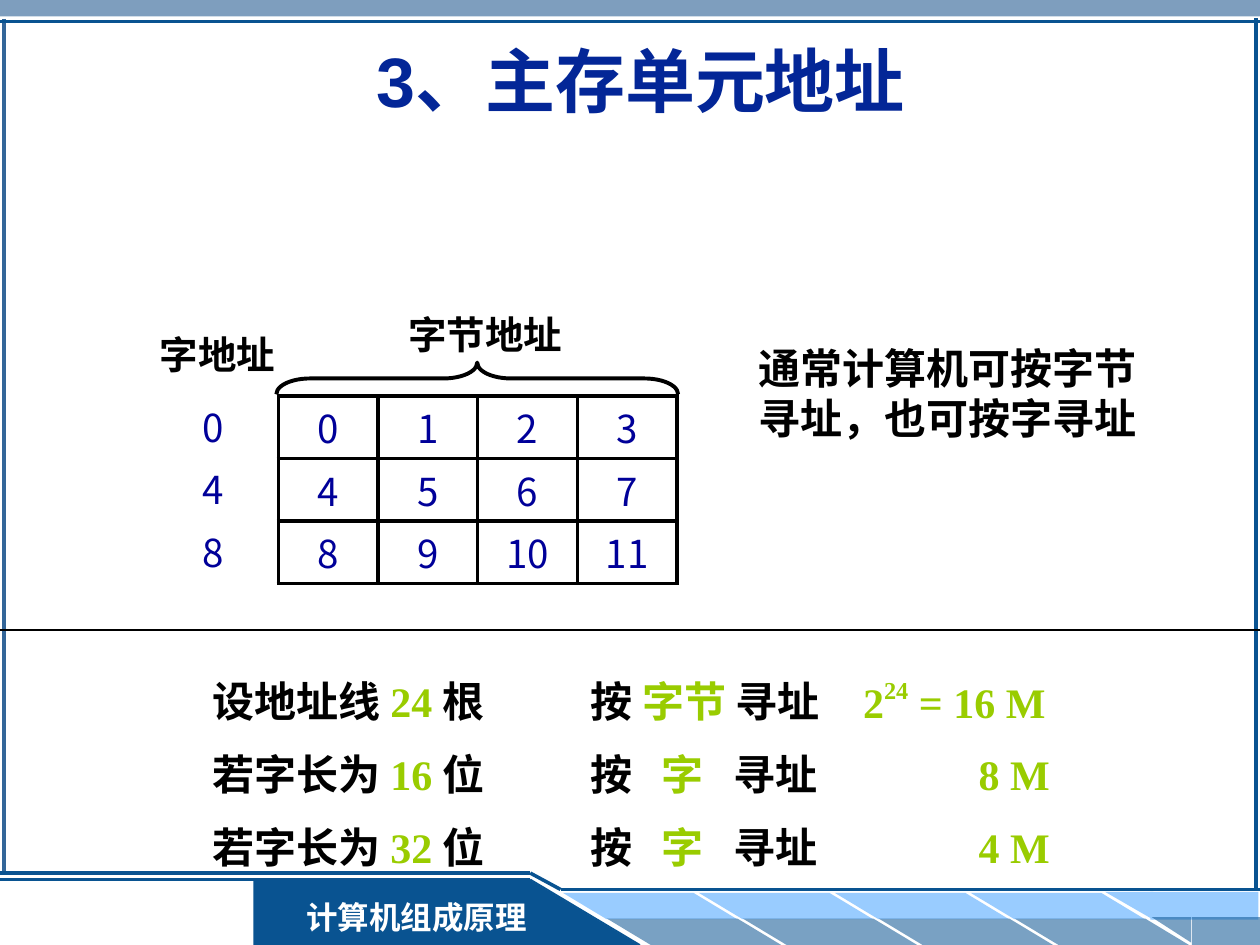
from lxml.etree import SubElement
from pptx import Presentation
from pptx.dml.color import RGBColor
from pptx.enum.shapes import MSO_CONNECTOR, MSO_SHAPE
from pptx.enum.text import MSO_ANCHOR, PP_ALIGN
from pptx.oxml.ns import qn
from pptx.util import Cm, Pt

BLACK = RGBColor(0x00, 0x00, 0x00)
WHITE = RGBColor(0xFF, 0xFF, 0xFF)
TITLE_BLUE = RGBColor(0x03, 0x26, 0x97)
DIGIT_BLUE = RGBColor(0x00, 0x00, 0x99)
FRAME_BLUE = RGBColor(0x09, 0x53, 0x91)
BAR_BLUE = RGBColor(0x33, 0x66, 0x99)
SKY = RGBColor(0x99, 0xCC, 0xFF)
GREEN = RGBColor(0x99, 0xCC, 0x00)

CJK_FONT = "Noto Sans CJK SC"
GRID_LEFT, GRID_TOP, CELL_WIDTH, CELL_HEIGHT = 5.61, 7.98, 2.01, 1.26
GRID_ROWS, GRID_COLUMNS = 3, 4
DIGIT_STYLE = dict(size=22, color=DIGIT_BLUE, font=CJK_FONT, bold=False,
                   align=PP_ALIGN.CENTER)


def write_text(frame, *lines, size=24, color=BLACK, font="Times New Roman",
               bold=True, align=PP_ALIGN.LEFT, tabs=()):
    """Write each line, a string or a list of (text, color, baseline) spans."""
    for index, line in enumerate(lines):
        para = frame.paragraphs[0] if index == 0 else frame.add_paragraph()
        para.alignment = align
        if tabs:
            stops = SubElement(para._p.get_or_add_pPr(), qn("a:tabLst"))
            for stop in tabs:
                SubElement(stops, qn("a:tab"), pos=str(Cm(stop)), algn="l")
        spans = [(line, color, 0)] if isinstance(line, str) else line
        for text, span_color, baseline in spans:
            span = para.add_run()
            span.text = text
            span.font.size = Pt(size)
            span.font.bold = bold
            span.font.name = font
            span.font.color.rgb = span_color
            properties = span._r.get_or_add_rPr()
            properties.set("lang", "zh-CN")
            if baseline:
                properties.set("baseline", str(baseline * 1000))
            SubElement(properties, qn("a:ea"), typeface=CJK_FONT)


def add_text(slide, left, top, width, height, *lines,
             anchor=MSO_ANCHOR.TOP, fill=None, **style):
    box = slide.shapes.add_textbox(Cm(left), Cm(top), Cm(width), Cm(height))
    box.text_frame.word_wrap = True
    box.text_frame.vertical_anchor = anchor
    if fill is not None:
        box.fill.solid()
        box.fill.fore_color.rgb = fill
    write_text(box.text_frame, *lines, **style)


def add_block(slide, kind, left, top, width, height, color, opacity=100):
    block = slide.shapes.add_shape(kind, Cm(left), Cm(top), Cm(width), Cm(height))
    block.shadow.inherit = False
    block.line.fill.background()
    block.fill.solid()
    block.fill.fore_color.rgb = color
    if opacity < 100:
        tint = block.element.spPr.find(".//" + qn("a:srgbClr"))
        SubElement(tint, qn("a:alpha"), val=str(opacity * 1000))
    return block


def add_line(slide, start, end, color=FRAME_BLUE, width=2):
    line = slide.shapes.add_connector(
        MSO_CONNECTOR.STRAIGHT, *(Cm(value) for value in start + end))
    line.line.color.rgb = color
    line.line.width = Pt(width)
    SubElement(line.element.spPr, qn("a:effectLst"))


def add_stripe(slide, left, top, color, opacity=100):
    """Add a parallelogram that leans to the left."""
    stripe = add_block(slide, MSO_SHAPE.PARALLELOGRAM, left, top, 3.51, 0.53,
                       color, opacity)
    stripe.adjustments[0] = 1.66
    stripe.element.spPr.xfrm.set("flipH", "1")


def add_page_frame(slide):
    add_block(slide, MSO_SHAPE.RECTANGLE, 0, 0, 25.4, 0.33, BAR_BLUE, 63)
    add_line(slide, (0.08, 0.38), (0.08, 17.6), BAR_BLUE)
    add_line(slide, (0, 0.43), (25.4, 0.43))
    add_line(slide, (25.32, 0.36), (25.32, 17.96))


def add_footer(slide):
    add_block(slide, MSO_SHAPE.RECTANGLE, 5.11, 17.73, 5.59, 1.32, FRAME_BLUE)
    add_block(slide, MSO_SHAPE.RIGHT_TRIANGLE, 10.67, 17.73, 2.21, 1.32, FRAME_BLUE)
    add_line(slide, (12.9, 19.05), (10.69, 17.73), width=1)
    add_line(slide, (10.69, 17.73), (0, 17.73), width=1.5)
    for index in range(4):
        add_stripe(slide, 11.35 + 2.74 * index, 18, SKY)
        add_stripe(slide, 12.24 + 2.74 * index, 18.52, FRAME_BLUE, 54)
    for left, top, width, color, opacity in ((23.19, 17.98, 2.18, SKY, 100),
                                             (24.03, 18.49, 1.37, FRAME_BLUE, 54)):
        add_block(slide, MSO_SHAPE.RECTANGLE, left, top, width, 0.56, color, opacity)
    for left, top, width, height, color, opacity in (
            (22.28, 17.98, 0.97, 0.56, SKY, 100),
            (23.22, 18.49, 0.79, 0.51, FRAME_BLUE, 54)):
        corner = add_block(slide, MSO_SHAPE.RIGHT_TRIANGLE, left, top, width, height,
                           color, opacity)
        corner.rotation = 180
    edge = [(0, 17.6), (10.69, 17.6), (11.3, 17.93), (25.4, 17.93)]
    for start, end in zip(edge, edge[1:]):
        add_line(slide, start, end)
    add_text(slide, 5.79, 17.98, 5.21, 1.02, "计算机组成原理", size=18,
             color=WHITE, align=PP_ALIGN.CENTER, fill=FRAME_BLUE)


def set_borders(cell):
    properties = cell._tc.get_or_add_tcPr()
    for side in ("lnL", "lnR", "lnT", "lnB"):
        border = SubElement(properties, qn("a:" + side), w=str(Pt(2.25)))
        fill = SubElement(border, qn("a:solidFill"))
        SubElement(fill, qn("a:srgbClr"), val=str(BLACK))


def add_byte_table(slide):
    table = slide.shapes.add_table(
        GRID_ROWS, GRID_COLUMNS, Cm(GRID_LEFT), Cm(GRID_TOP),
        Cm(CELL_WIDTH * GRID_COLUMNS), Cm(CELL_HEIGHT * GRID_ROWS)).table
    table.first_row = table.horz_banding = False
    for row in table.rows:
        row.height = Cm(CELL_HEIGHT)
    for address, cell in enumerate(table.iter_cells()):
        cell.margin_left = cell.margin_right = 0
        cell.margin_top = cell.margin_bottom = 0
        cell.vertical_anchor = MSO_ANCHOR.MIDDLE
        set_borders(cell)
        cell.fill.background()
        write_text(cell.text_frame, str(address), **DIGIT_STYLE)


def add_memory_map(slide):
    add_text(slide, 2.97, 6.55, 3.48, 1.19, "字地址", size=22)
    add_text(slide, 7.98, 6.15, 3.65, 1.19, "字节地址", size=22)
    brace = slide.shapes.add_shape(MSO_SHAPE.LEFT_BRACE, Cm(9.3), Cm(3.58),
                                   Cm(0.64), Cm(8.1))
    brace.rotation = 90
    brace.adjustments[0] = 1.06
    brace.shadow.inherit = False
    brace.fill.background()
    brace.line.color.rgb = BLACK
    brace.line.width = Pt(2.25)
    add_byte_table(slide)
    for row in range(GRID_ROWS):
        add_text(slide, 3.3, GRID_TOP + CELL_HEIGHT * row, CELL_WIDTH, CELL_HEIGHT,
                 str(row * GRID_COLUMNS), anchor=MSO_ANCHOR.MIDDLE, **DIGIT_STYLE)


def add_examples(slide):
    word_mode = [("按\t", BLACK, 0), ("字", GREEN, 0), ("\t寻址", BLACK, 0)]
    byte_mode = [("按 ", BLACK, 0), ("字节 ", GREEN, 0), ("寻址", BLACK, 0)]
    power = [("2", GREEN, 0), ("24", GREEN, 45), (" = 16 M", GREEN, 0)]
    examples = (
        ("设地址线 ", "24 ", "根", byte_mode, (), 17.15, power),
        ("若字长为 ", "16 ", "位", word_mode, (1.43, 2.87), 19.48, "8 M"),
        ("若字长为 ", "32 ", "位", word_mode, (1.43, 2.87), 19.48, "4 M"),
    )
    for row, (label, number, unit, mode, tabs, left, result) in enumerate(examples):
        top = 13.49 + 1.47 * row
        premise = [(label, BLACK, 0), (number, GREEN, 0), (unit, BLACK, 0)]
        add_text(slide, 4.04, top, 7.5, 1.27, premise)
        add_text(slide, 11.66, top, 6.5, 1.27, mode, tabs=tabs)
        add_text(slide, left, top, 5.72, 1.27, result, color=GREEN)


def main():
    deck = Presentation()
    deck.slide_width, deck.slide_height = Cm(25.4), Cm(19.05)
    slide = deck.slides.add_slide(deck.slide_layouts[6])
    add_page_frame(slide)
    add_footer(slide)
    add_text(slide, 0.89, 0.71, 24.05, 1.8, "3、主存单元地址", size=40,
             color=TITLE_BLUE, font="Arial", align=PP_ALIGN.CENTER,
             anchor=MSO_ANCHOR.MIDDLE)
    add_memory_map(slide)
    add_examples(slide)
    add_text(slide, 15.04, 6.78, 9.73, 2.29, "通常计算机可按字节", "寻址，也可按字寻址")
    add_line(slide, (0, 12.7), (25.4, 12.7), BLACK, 0.75)
    deck.save("out.pptx")


if __name__ == "__main__":
    main()
